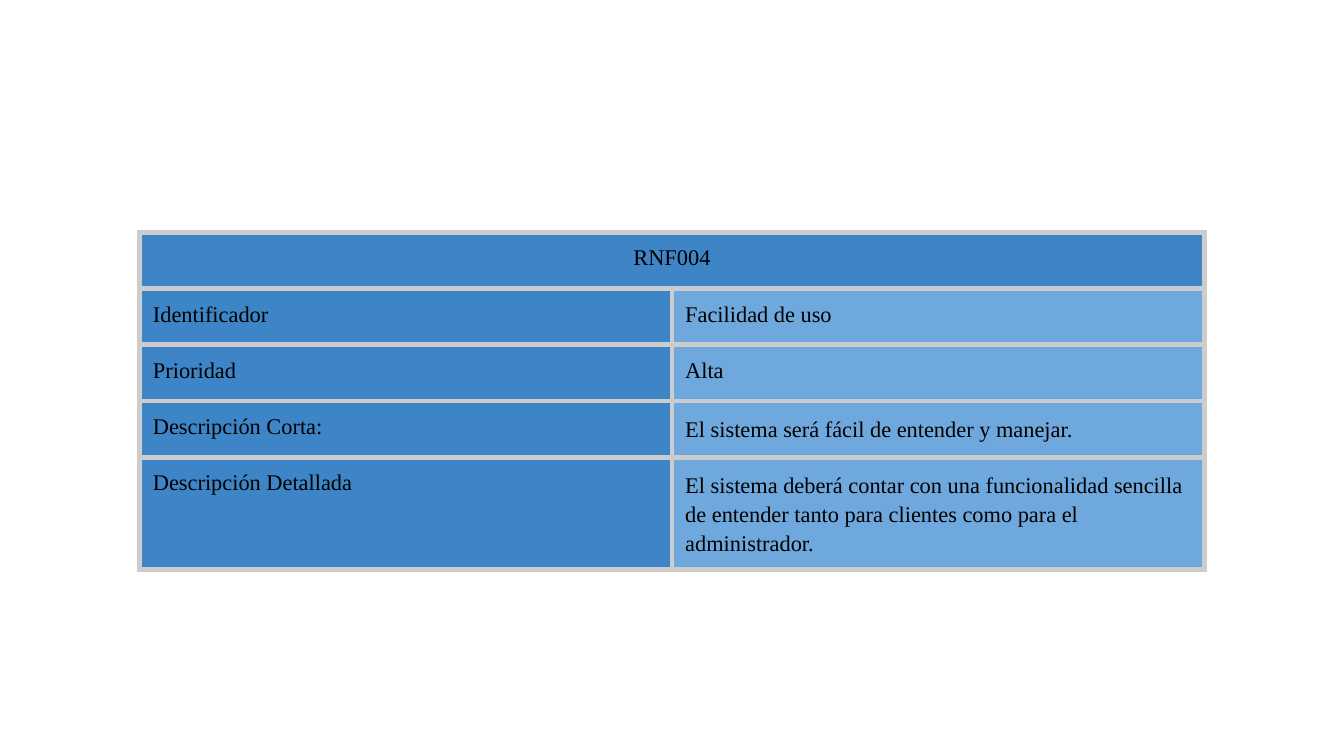
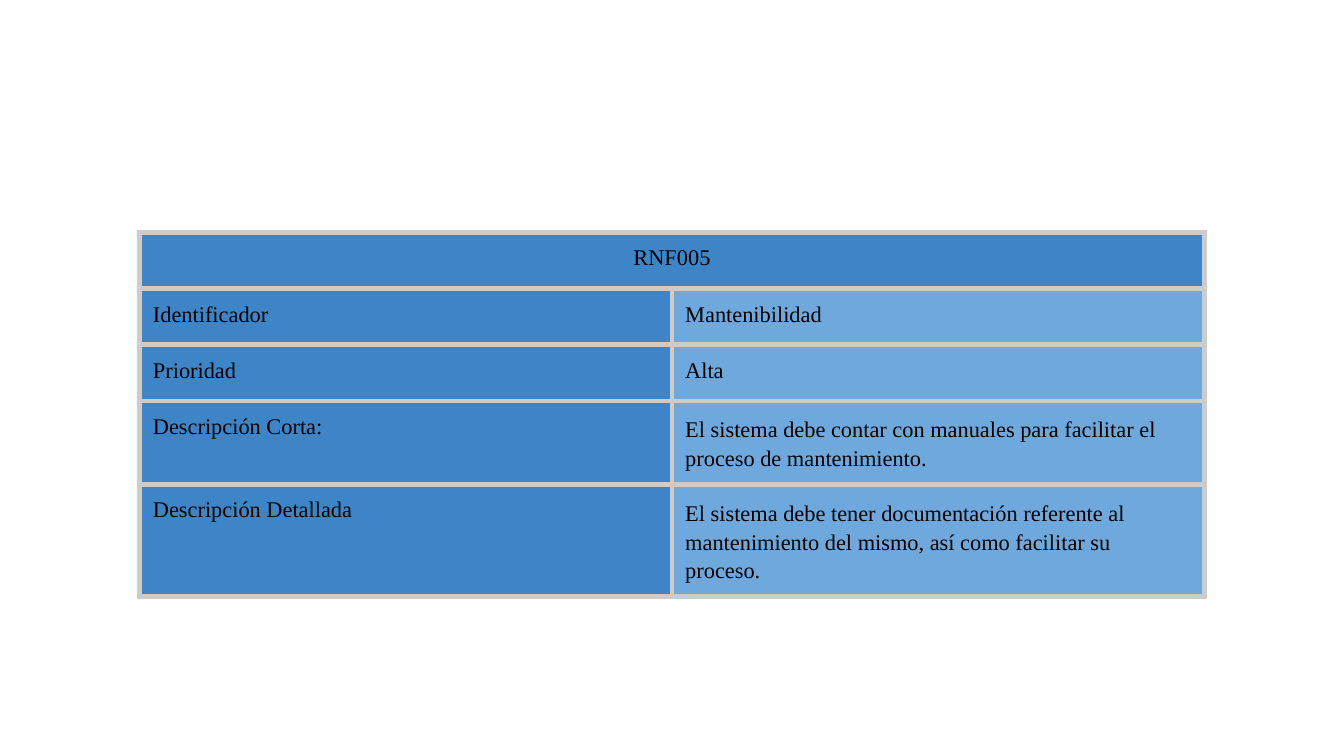
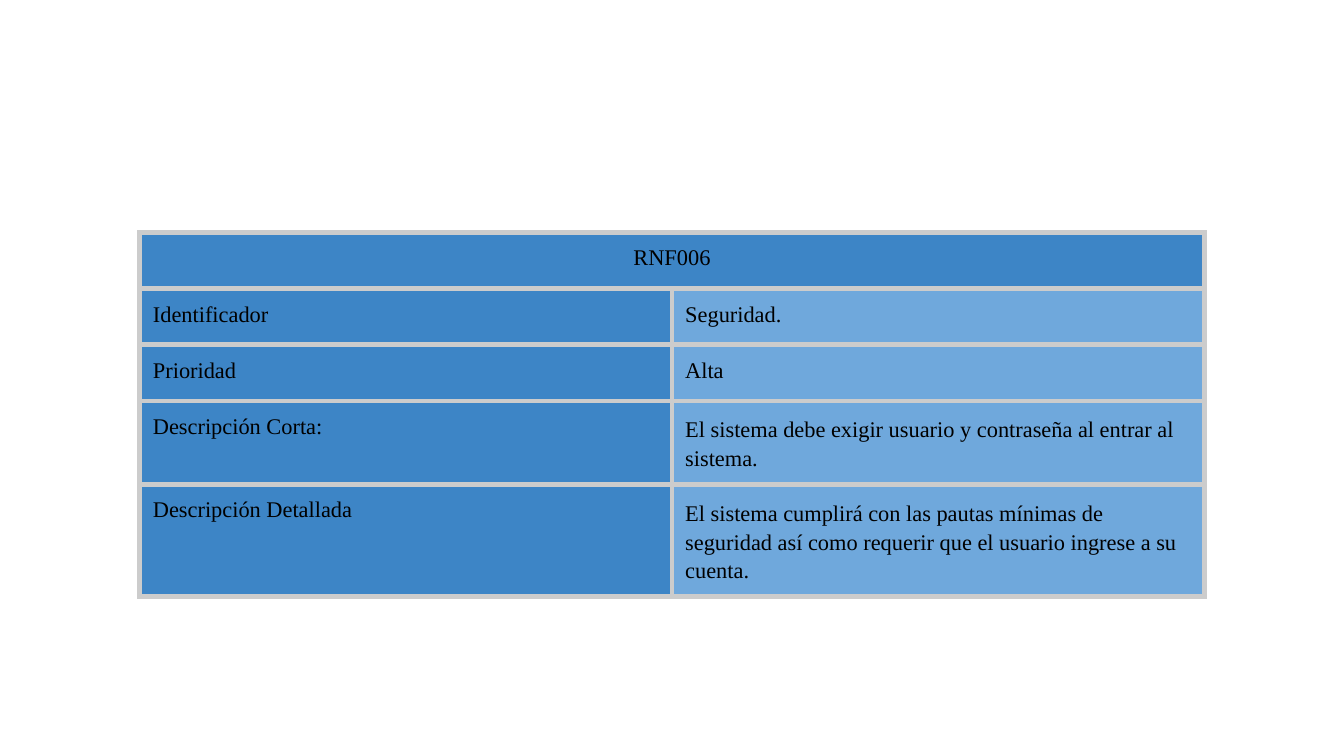
"""Build three slides, each with the sheet of one non-functional requirement."""
from dataclasses import dataclass
from typing import Optional

from lxml import etree
from pptx import Presentation
from pptx import util as u
from pptx.dml.color import RGBColor
from pptx.enum import text
from pptx.oxml import ns

COLORS = {
    "label": "3D85C6",
    "value": "6FA8DC",
    "border": "CCCCCC",
    "ink": "000000",
}
FONT = "Times New Roman"
LEFT, TOP = u.Cm(2.64), u.Cm(4.4)
COLUMN_WIDTH, ROW_HEIGHT = u.Cm(10.06), u.Cm(1.06)
CELL_MARGIN = u.Cm(0.25)
BORDER_WIDTH = u.Pt(3)
DESCRIPTION_SPACING = 1.15


@dataclass(frozen=True)
class Requirement:
    """The content of one requirement sheet."""

    code: str
    identifier: str
    priority: str
    short: str
    detailed: str


REQUIREMENTS = (
    Requirement(
        "RNF004", "Facilidad de uso", "Alta",
        "El sistema será fácil de entender y manejar.",
        "El sistema deberá contar con una funcionalidad sencilla de entender "
        "tanto para clientes como para el administrador.",
    ),
    Requirement(
        "RNF005", "Mantenibilidad", "Alta",
        "El sistema debe contar con manuales para facilitar el proceso de "
        "mantenimiento.",
        "El sistema debe tener documentación referente al mantenimiento del "
        "mismo, así como facilitar su proceso.",
    ),
    Requirement(
        "RNF006", "Seguridad.", "Alta",
        "El sistema debe exigir usuario y contraseña al entrar al sistema.",
        "El sistema cumplirá con las pautas mínimas de seguridad así como "
        "requerir que el usuario ingrese a su cuenta.",
    ),
)


def write(frame, wording: str, *, size: float = 12, color: str = "ink",
          align: text.PP_ALIGN = text.PP_ALIGN.LEFT,
          spacing: Optional[float] = None) -> None:
    """Write one formatted paragraph into a text frame."""
    paragraph = frame.paragraphs[0]
    paragraph.alignment = align
    if spacing is not None:
        paragraph.line_spacing = spacing
    run = paragraph.add_run()
    run.text = wording
    run.font.name = FONT
    run.font.size = u.Pt(size)
    run.font.color.rgb = RGBColor.from_string(COLORS[color])


def style_cell(cell, fill: str) -> None:
    """Give a cell its margins, four borders and fill."""
    cell.margin_left = cell.margin_right = CELL_MARGIN
    cell.margin_top = cell.margin_bottom = CELL_MARGIN
    cell.vertical_anchor = text.MSO_ANCHOR.TOP
    properties = cell._tc.get_or_add_tcPr()
    for side in ("a:lnL", "a:lnR", "a:lnT", "a:lnB"):
        edge = etree.SubElement(properties, ns.qn(side), w=str(int(BORDER_WIDTH)))
        solid = etree.SubElement(edge, ns.qn("a:solidFill"))
        etree.SubElement(solid, ns.qn("a:srgbClr"), val=COLORS["border"])
    cell.fill.solid()
    cell.fill.fore_color.rgb = RGBColor.from_string(COLORS[fill])


def add_requirement(slide, requirement: Requirement) -> None:
    """Draw a requirement as a code row above rows of label and value."""
    entries = (
        ("Identificador", requirement.identifier, None),
        ("Prioridad", requirement.priority, None),
        ("Descripción Corta:", requirement.short, DESCRIPTION_SPACING),
        ("Descripción Detallada", requirement.detailed, DESCRIPTION_SPACING),
    )
    row_count = len(entries) + 1
    sheet = slide.shapes.add_table(row_count, 2, LEFT, TOP, COLUMN_WIDTH * 2,
                                   ROW_HEIGHT * row_count).table
    sheet.first_row = sheet.horz_banding = False
    for column in sheet.columns:
        column.width = COLUMN_WIDTH
    for index, row in enumerate(sheet.rows):
        row.height = ROW_HEIGHT
        style_cell(row.cells[0], "label")
        style_cell(row.cells[1], "value" if index else "label")

    heading = sheet.cell(0, 0)
    heading.merge(sheet.cell(0, 1))
    write(heading.text_frame, requirement.code, align=text.PP_ALIGN.CENTER)
    for index, (label, value, spacing) in enumerate(entries, start=1):
        write(sheet.cell(index, 0).text_frame, label)
        write(sheet.cell(index, 1).text_frame, value, spacing=spacing)


def main() -> None:
    """Build the presentation and save it."""
    deck = Presentation()
    deck.slide_width, deck.slide_height = u.Cm(25.4), u.Cm(14.29)
    blank = deck.slide_layouts[6]
    for requirement in REQUIREMENTS:
        add_requirement(deck.slides.add_slide(blank), requirement)
    deck.save("out.pptx")


main()
